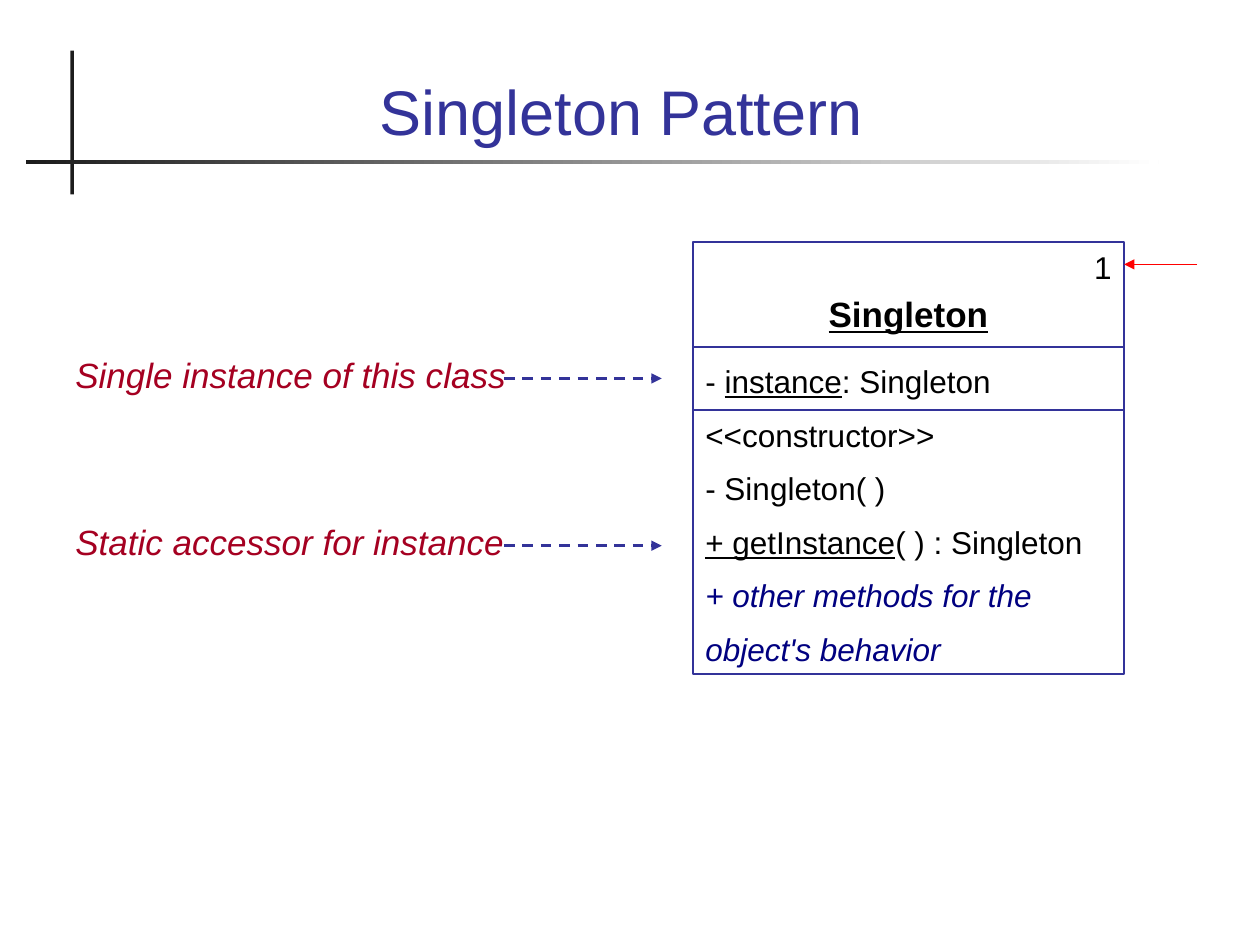
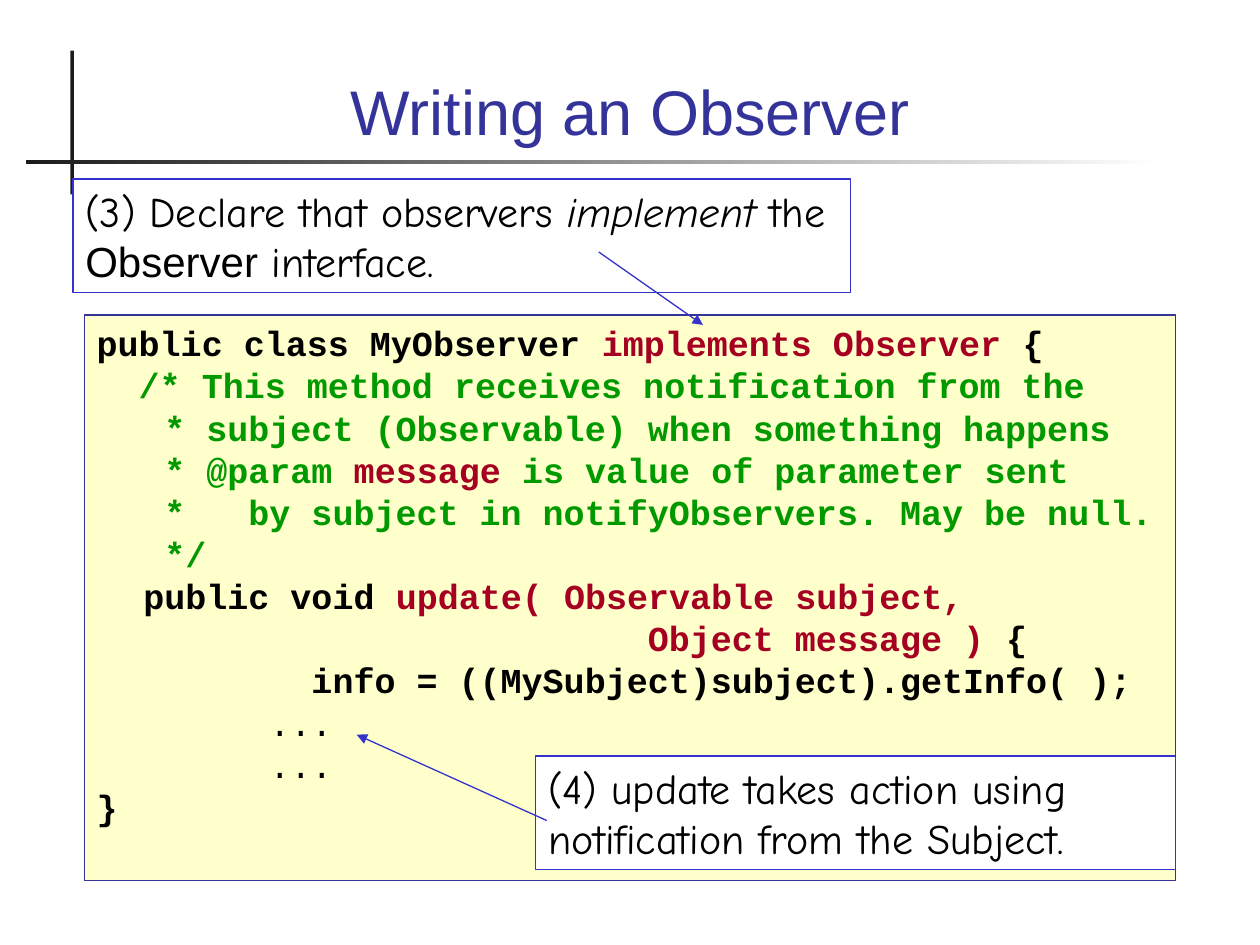
import pptx
import pptx.dml.color
import pptx.enum.dml
import pptx.enum.shapes
import pptx.enum.text
import pptx.oxml
import pptx.oxml.ns
import pptx.util

Cm = pptx.util.Cm
Pt = pptx.util.Pt
RGBColor = pptx.dml.color.RGBColor
ALIGN = pptx.enum.text.PP_ALIGN
ANCHOR = pptx.enum.text.MSO_ANCHOR
SHAPE = pptx.enum.shapes.MSO_SHAPE
DASH = pptx.enum.dml.MSO_LINE.DASH

INDIGO = RGBColor(0x33, 0x33, 0x99)
BLUE = RGBColor(0x33, 0x33, 0xCC)
NAVY = RGBColor(0x00, 0x00, 0x80)
CRIMSON = RGBColor(0xA5, 0x00, 0x21)
RED = RGBColor(0xFF, 0x00, 0x00)
GREEN = RGBColor(0x00, 0x99, 0x00)
CREAM = RGBColor(0xFF, 0xFF, 0xCC)
CHARCOAL = RGBColor(0x1C, 0x1C, 0x1C)
BLACK = RGBColor(0x00, 0x00, 0x00)
WHITE = RGBColor(0xFF, 0xFF, 0xFF)

SANS = "Arial"
HAND = "Comic Neue"
MONO = "Courier New"
LINE_HEIGHT = 1.2
CODE_INDENT = 0.94


class Deck:
    """Holds the shared style and the slide being drawn; lengths are in centimetres."""

    def __init__(self):
        self.presentation = pptx.Presentation()
        self.presentation.slide_width = Cm(25.4)
        self.presentation.slide_height = Cm(19.05)
        self.slide = None

    def new_slide(self, title):
        layout = self.presentation.slide_layouts[5]
        self.slide = self.presentation.slides.add_slide(layout)
        self.box(1.42, 1.02, 0.07, 2.9, fill=CHARCOAL)
        rule = self.box(0.53, 3.22, 22.83, 0.08)
        rule.fill.gradient()
        rule.fill.gradient_angle = 0
        for stop, color in zip(rule.fill.gradient_stops, (CHARCOAL, WHITE)):
            stop.color.rgb = color

        shape = self.slide.shapes.title
        shape.left, shape.top, shape.width, shape.height = Cm(1.7), Cm(0.71), Cm(22), Cm(2.41)
        self.frame(shape, anchor=ANCHOR.BOTTOM)
        paragraph = shape.text_frame.paragraphs[0]
        paragraph.alignment = ALIGN.CENTER
        self.run(paragraph, title, size=36, color=INDIGO)

    def frame(self, shape, anchor=ANCHOR.TOP, wrap=True, top_inset=0.13):
        frame = shape.text_frame
        frame.auto_size = pptx.enum.text.MSO_AUTO_SIZE.NONE
        frame.word_wrap = wrap
        frame.vertical_anchor = anchor
        frame.margin_left = frame.margin_right = Cm(0.25)
        frame.margin_top, frame.margin_bottom = Cm(top_inset), Cm(0.13)

    def box(self, left, top, width, height, fill=None, line=None, line_width=0.75):
        shape = self.slide.shapes.add_shape(
            SHAPE.RECTANGLE, Cm(left), Cm(top), Cm(width), Cm(height))
        shape.shadow.inherit = False
        if fill is None:
            shape.fill.background()
        else:
            shape.fill.solid()
            shape.fill.fore_color.rgb = fill
        if line is None:
            shape.line.fill.background()
        else:
            shape.line.color.rgb = line
            shape.line.width = Pt(line_width)
        self.frame(shape)
        return shape

    def run(self, paragraph, text, size, font=SANS, color=BLACK,
            bold=False, italic=False, underline=False):
        run = paragraph.add_run()
        run.text = text
        run.font.name = font
        run.font.size = Pt(size)
        run.font.color.rgb = color
        run.font.bold, run.font.italic, run.font.underline = bold, italic, underline

    def paragraph(self, shape, runs, size, align=ALIGN.LEFT, spacing=1.0,
                  before=0, after=0, indent=0, **style):
        """Add a paragraph of (text, changes) runs; style applies to all of them."""
        frame = shape.text_frame
        first = frame.paragraphs[0]
        paragraph = frame.add_paragraph() if first.runs else first
        if indent:
            paragraph._p.get_or_add_pPr().set("marL", str(Cm(indent)))
        paragraph.alignment = align
        paragraph.line_spacing = Pt(size * LINE_HEIGHT * spacing)
        paragraph.space_before = Pt(before if first.runs else 0)
        paragraph.space_after = Pt(after)
        for text, changes in runs:
            self.run(paragraph, text, size, **{**style, **changes})

    def line(self, start, end, color, width=0.75, arrow=False, dash=None):
        connector = self.slide.shapes.add_connector(
            pptx.enum.shapes.MSO_CONNECTOR.STRAIGHT,
            Cm(start[0]), Cm(start[1]), Cm(end[0]), Cm(end[1]))
        connector.line.color.rgb = color
        connector.line.width = Pt(width)
        if dash:
            connector.line.dash_style = dash
        properties = connector._element.spPr
        if arrow:
            properties.find(pptx.oxml.ns.qn("a:ln")).append(pptx.oxml.parse_xml(
                f'<a:tailEnd {pptx.oxml.ns.nsdecls("a")} type="triangle"/>'))
        properties.append(pptx.oxml.parse_xml(
            f'<a:effectLst {pptx.oxml.ns.nsdecls("a")}/>'))

    def label(self, top, text):
        """Write a red note with a dashed arrow towards the class box."""
        arrow_y = top + 0.64
        self.line((10.16, arrow_y), (13.34, arrow_y), INDIGO, 1.5, arrow=True, dash=DASH)
        shape = self.slide.shapes.add_textbox(Cm(1.27), Cm(top), Cm(9.2), Cm(1.12))
        self.frame(shape, wrap=False)
        self.paragraph(shape, [(text, {})], 20, color=CRIMSON, italic=True)

    def callout(self, left, top, width, runs, fill=None):
        shape = self.box(left, top, width, 2.29, fill=fill, line=BLUE)
        self.paragraph(shape, runs, 24, font=HAND)


def draw_singleton(deck):
    deck.new_slide("Singleton Pattern ")
    left, width = 13.97, 8.69
    class_box = deck.box(left, 4.88, width, 8.71, line=INDIGO, line_width=1)
    deck.paragraph(class_box, [("1", {})], 18, align=ALIGN.RIGHT, after=11)
    deck.paragraph(class_box, [("Singleton", {})], 20, align=ALIGN.CENTER,
                   spacing=0.7, after=11, bold=True, underline=True)
    underlined = {"underline": True}
    behavior = {"color": NAVY, "italic": True}
    deck.paragraph(class_box, [("- ", {}), ("instance", underlined), (": Singleton", {})],
                   18, before=4.5)
    methods = [
        [("<<constructor>>", {})],
        [("- Singleton( )", {})],
        [("+ getInstance", underlined), ("( ) : Singleton", {})],
        [("+ other methods for the", behavior)],
        [("object's behavior", behavior)],
    ]
    for runs in methods:
        deck.paragraph(class_box, runs, 18, before=9)
    for divider_y in (6.99, 8.26):
        deck.line((left, divider_y), (left + width, divider_y), INDIGO, 1)

    deck.label(6.99, "Single instance of this class")
    deck.label(10.36, "Static accessor for instance")
    deck.line((24.13, 5.33), (left + width, 5.33), RED, arrow=True)


def draw_observer(deck):
    deck.new_slide("Writing an Observer")
    code_box = deck.box(1.7, 6.35, 22, 11.4, fill=CREAM, line=INDIGO)
    deck.frame(code_box, top_inset=0.22)
    key = {"color": CRIMSON}
    comment = {"color": GREEN}
    light = {"bold": False}
    code = [
        (0, [("public class MyObserver ", {}), ("implements Observer", key), (" {", {})]),
        (0, [("  /* This method receives notification from the", comment)]),
        (CODE_INDENT, [(" * subject (Observable) when something happens", comment)]),
        (CODE_INDENT, [(" * @param ", comment), ("message", key),
                       (" is value of parameter sent", comment)]),
        (CODE_INDENT, [(" *   by subject in notifyObservers. May be null.", comment)]),
        (CODE_INDENT, [(" */", comment)]),
        (CODE_INDENT, [("public void ", {}), ("update( Observable subject,", key)]),
        (CODE_INDENT, [("                        Object message )", key), (" {", {})]),
        (CODE_INDENT, [("        info = ((MySubject)subject).getInfo( );", {})]),
        (CODE_INDENT, [("      ...", light)]),
        (CODE_INDENT, [("      ...", light)]),
        (0, [("}", {})]),
    ]
    for indent, runs in code:
        deck.paragraph(code_box, runs, 20, spacing=0.9, before=2.5, indent=indent,
                       font=MONO, bold=True)

    deck.callout(1.47, 3.61, 15.67, [
        ("(3) Declare that observers ", {}), ("implement", {"italic": True}), (" the ", {}),
        ("Observer", {"font": SANS}), (" interface.", {})])
    deck.callout(10.8, 15.24, 12.9, [
        ("(4) update takes action using notification from the Subject.", {})], fill=WHITE)
    deck.line((12.07, 5.08), (14.17, 6.55), BLUE, arrow=True)
    deck.line((11.02, 16.54), (7.19, 14.81), BLUE, arrow=True)


def main():
    deck = Deck()
    draw_singleton(deck)
    draw_observer(deck)
    deck.presentation.save("out.pptx")


if __name__ == "__main__":
    main()
